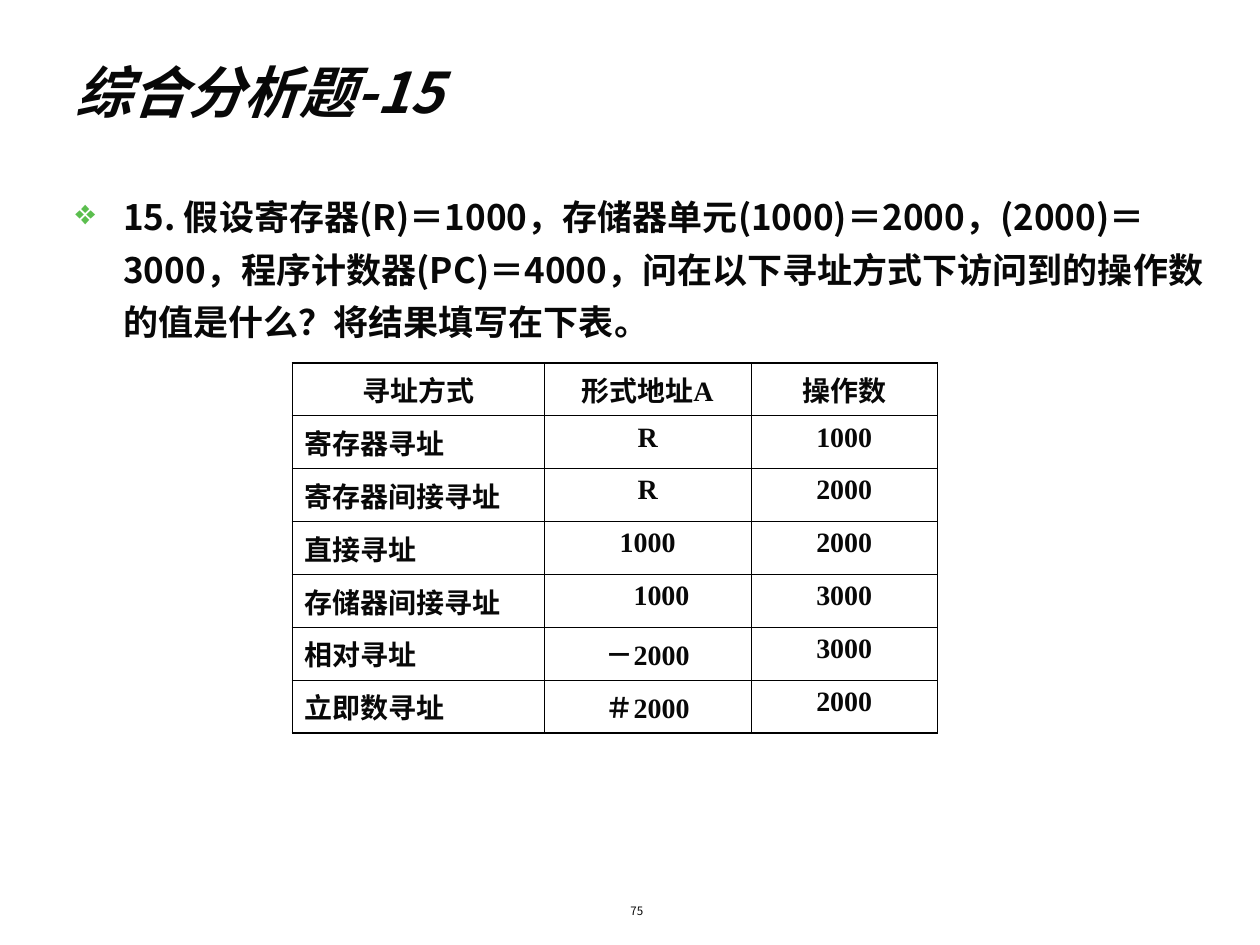
from pptx import Presentation
from pptx.dml.color import RGBColor
from pptx.enum.text import MSO_ANCHOR as Anchor, PP_ALIGN as Align
from pptx.oxml import parse_xml
from pptx.oxml.ns import nsdecls, qn
from pptx.util import Inches, Pt

INK = RGBColor(0x08, 0x08, 0x08)
GREEN = RGBColor(0x5B, 0xBE, 0x4E)
BLACK = RGBColor(0, 0, 0)
SANS = "Noto Sans CJK SC"
SERIF = "Times New Roman"
THIN, THICK = 0.45, 0.96
HANGING = 0.38

ROWS = [
    ("寻址方式", "形式地址A", "操作数"),
    ("寄存器寻址", "R", "1000"),
    ("寄存器间接寻址", "R", "2000"),
    ("直接寻址", "1000", "2000"),
    ("存储器间接寻址", "1000", "3000"),
    ("相对寻址", "－2000", "3000"),
    ("立即数寻址", "＃2000", "2000"),
]
QUESTION = (
    "15. 假设寄存器(R)＝1000，存储器单元(1000)＝2000，(2000)＝3000，"
    "程序计数器(PC)＝4000，问在以下寻址方式下访问到的操作数的值是什么？"
    "将结果填写在下表。"
)


class SlideBuilder:
    def __init__(self, slide):
        self.slide = slide

    def format(self, paragraph, size, font=SANS, bold=True, italic=False):
        for run in paragraph.runs:
            run.font.size = Pt(size)
            run.font.name = font
            run.font.bold = bold
            run.font.italic = italic
            run.font.color.rgb = INK
            east_asian = parse_xml(f'<a:ea {nsdecls("a")} typeface="{SANS}"/>')
            run.font._element.find(qn("a:latin")).addnext(east_asian)

    def indent(self, paragraph, left, first):
        properties = paragraph._p.get_or_add_pPr()
        properties.set("marL", str(Inches(left)))
        properties.set("indent", str(Inches(first)))

    def bullet(self, paragraph, character, color):
        properties = paragraph._p.get_or_add_pPr()
        for xml in (
            f'<a:buClr {nsdecls("a")}><a:srgbClr val="{color}"/></a:buClr>',
            f'<a:buChar {nsdecls("a")} char="{character}"/>',
        ):
            properties.append(parse_xml(xml))

    def text(self, text, left, top, width, height, size, anchor=Anchor.TOP, **style):
        box = self.slide.shapes.add_textbox(
            Inches(left), Inches(top), Inches(width), Inches(height))
        frame = box.text_frame
        frame.word_wrap = True
        frame.vertical_anchor = anchor
        frame.text = text
        paragraph = frame.paragraphs[0]
        self.format(paragraph, size, **style)
        return paragraph

    def borders(self, cell, widths):
        properties = cell._tc.get_or_add_tcPr()
        for side, width in zip("LRTB", widths):
            properties.append(parse_xml(
                f'<a:ln{side} {nsdecls("a")} w="{Pt(width)}"><a:solidFill>'
                f'<a:srgbClr val="{BLACK}"/></a:solidFill></a:ln{side}>'))

    def table(self, rows, left, top, column_widths, row_height, size):
        last_row, last_column = len(rows) - 1, len(column_widths) - 1
        table = self.slide.shapes.add_table(
            len(rows), len(column_widths), Inches(left), Inches(top),
            Inches(sum(column_widths)), Inches(row_height * len(rows))).table
        table.first_row = table.horz_banding = False
        for column, width in zip(table.columns, column_widths):
            column.width = Inches(width)
        for r, values in enumerate(rows):
            table.rows[r].height = Inches(row_height)
            for c, value in enumerate(values):
                cell = table.cell(r, c)
                cell.text_frame.text = value
                paragraph = cell.text_frame.paragraphs[0]
                centred = r == 0 or c > 0
                paragraph.alignment = Align.CENTER if centred else Align.LEFT
                self.indent(paragraph, HANGING, -HANGING)
                self.format(paragraph, size, font=SERIF)
                outer = (c == 0, c == last_column, r == 0, r == last_row)
                self.borders(cell, [THICK if edge else THIN for edge in outer])
                cell.fill.background()
        return table


def main():
    presentation = Presentation()
    presentation.slide_width = Inches(10)
    presentation.slide_height = Inches(7.5)
    builder = SlideBuilder(
        presentation.slides.add_slide(presentation.slide_layouts[6]))

    # Page number
    number = builder.text("75", 3.42, 7.15, 3.17, 0.27, 6.6, bold=False)
    number.alignment = Align.CENTER
    number.line_spacing = 0.8
    builder.indent(number, 0.1, 0)

    # Title
    builder.text("综合分析题-15", 0.5, 0.25, 9, 0.95, 32,
                 anchor=Anchor.MIDDLE, italic=True)

    # Question
    question = builder.text(QUESTION, 0.5, 1.42, 9.15, 5.5, 20)
    builder.indent(question, HANGING, -HANGING)
    builder.bullet(question, "❖", GREEN)
    question.line_spacing = 1.25

    # Addressing modes, with the memory-indirect address set slightly right
    table = builder.table(ROWS, 2.32, 2.88, (2, 1.64, 1.48), 0.42, 16)
    builder.indent(table.cell(4, 1).text_frame.paragraphs[0], HANGING, -0.16)

    presentation.save("out.pptx")


if __name__ == "__main__":
    main()
